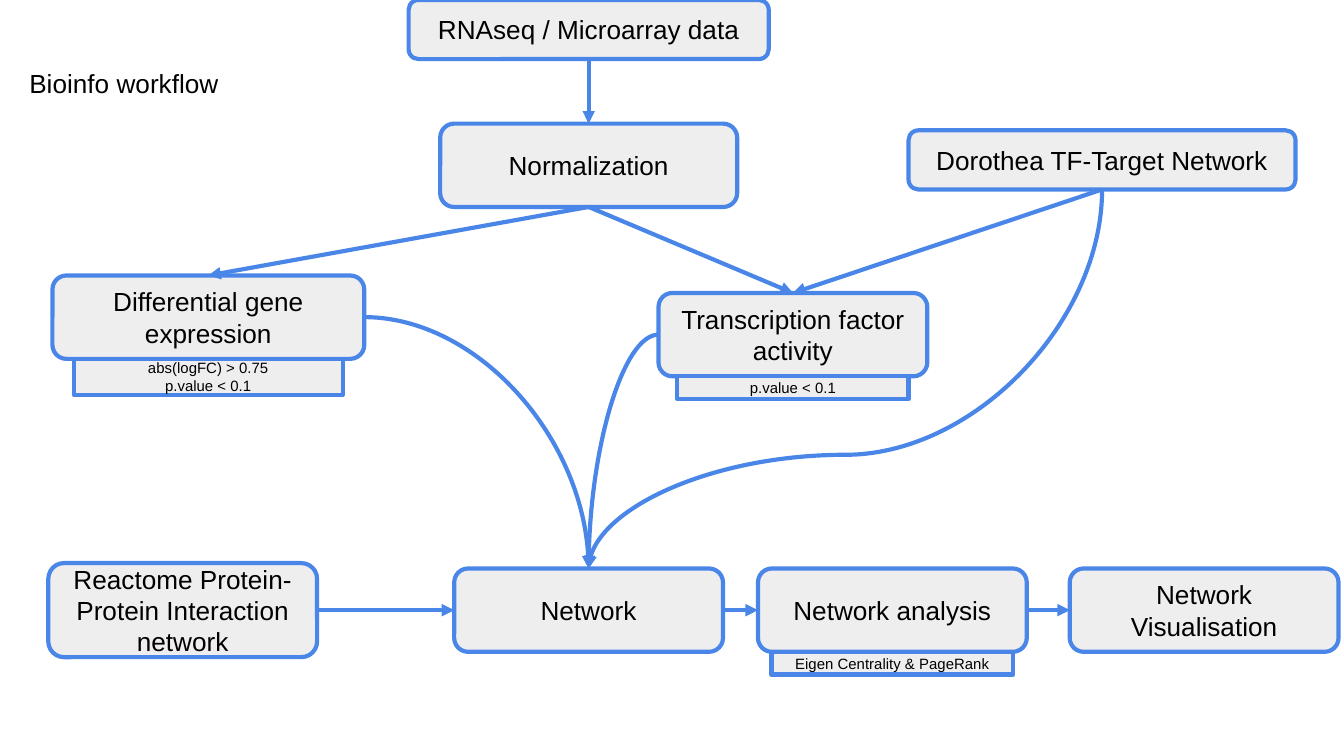
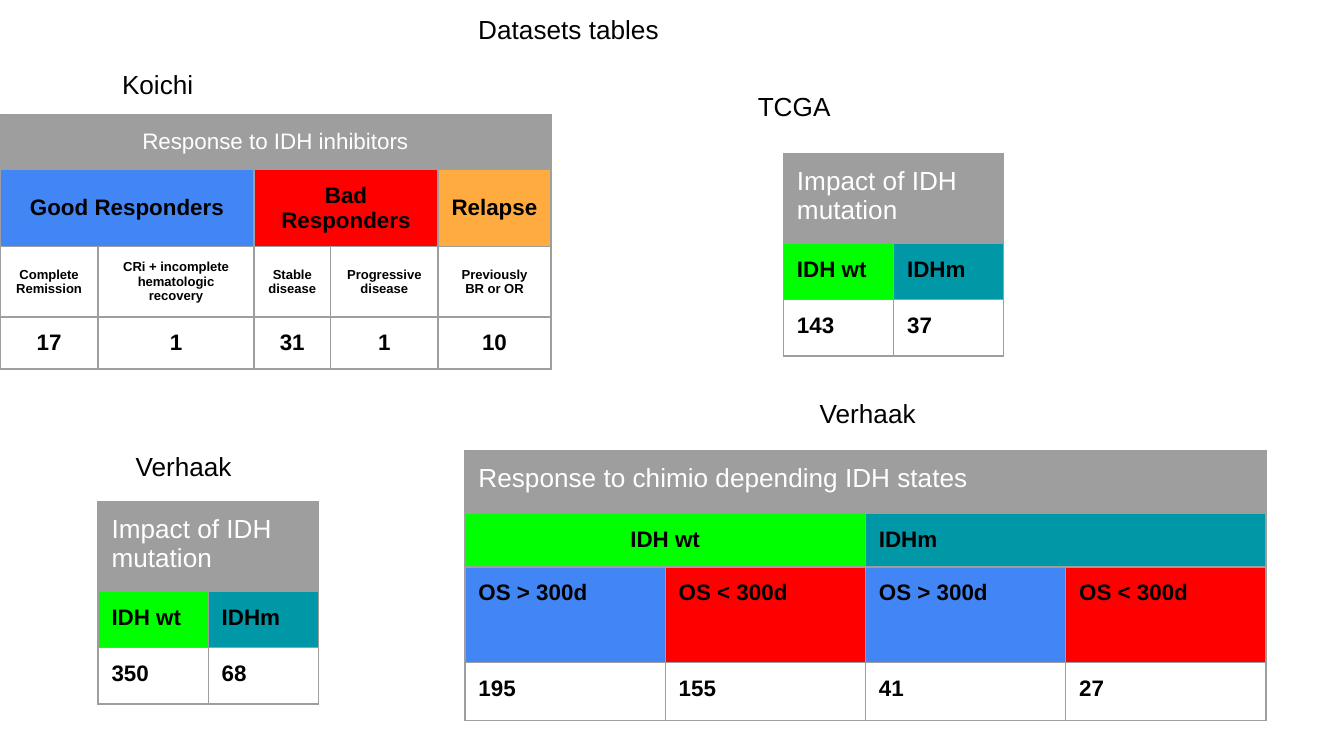
from lxml.etree import SubElement
from pptx import Presentation
from pptx.dml.color import RGBColor
from pptx.enum.shapes import MSO_CONNECTOR, MSO_SHAPE
from pptx.enum.text import MSO_ANCHOR, MSO_AUTO_SIZE, PP_ALIGN
from pptx.oxml.ns import qn
from pptx.util import Inches, Pt

# Shared look
COLOURS = {
    "black": "000000", "white": "FFFFFF", "box": "EEEEEE", "outline": "4A86E8",
    "grey": "9E9E9E", "blue": "4285F4", "red": "FF0000", "orange": "FFAB40",
    "green": "00FF00", "teal": "0097A7",
}
FONT = "Arial"
INSET = 0.1
LINE_WIDTH = 2.25
SLIDE_WIDTH = 10
SLIDE_HEIGHT = SLIDE_WIDTH * 9 / 16
TOP, LEFT, BOTTOM, RIGHT = range(4)

# Workflow: name -> (text, centre x, top, width, height)
STEPS = {
    "data": ("RNAseq / Microarray data", 4.38, 0, 2.68, 0.44),
    "normal": ("Normalization", 4.38, 0.92, 2.21, 0.62),
    "targets": ("Dorothea TF-Target Network", 8.2, 0.97, 2.88, 0.44),
    "genes": ("Differential gene expression", 1.55, 2.05, 2.32, 0.62),
    "factors": ("Transcription factor activity", 5.9, 2.18, 2, 0.62),
    "proteins": ("Reactome Protein-Protein Interaction network", 1.36, 4.19, 2, 0.7),
    "network": ("Network", 4.38, 4.23, 2, 0.62),
    "analysis": ("Network analysis", 6.64, 4.23, 2, 0.62),
    "visual": ("Network Visualisation", 8.96, 4.23, 2, 0.62),
}
# Criteria hanging under a step: (step, lines, width, height)
CRITERIA = [
    ("genes", ["abs(logFC) > 0.75", "p.value < 0.1"], 2, 0.27),
    ("factors", ["p.value < 0.1"], 1.72, 0.17),
    ("analysis", ["Eigen Centrality & PageRank"], 1.8, 0.17),
]
STRAIGHT_ARROWS = [
    ("data", BOTTOM, "normal", TOP),
    ("normal", BOTTOM, "factors", TOP),
    ("normal", BOTTOM, "genes", TOP),
    ("targets", BOTTOM, "factors", TOP),
    ("proteins", RIGHT, "network", LEFT),
    ("network", RIGHT, "analysis", LEFT),
    ("analysis", RIGHT, "visual", LEFT),
]
QUARTER_CURVES = [("genes", RIGHT, "network", TOP), ("factors", LEFT, "network", TOP)]
S_CURVE = ("targets", BOTTOM, "network", TOP)
S_BEND = 0.7

# Headings: (text, left, top, width)
WORKFLOW_HEADINGS = [("Bioinfo workflow", 0.12, 0.4, 2.47)]
DATASET_HEADINGS = [
    ("Datasets tables", 3.46, 0, 4.58),
    ("Koichi", 0.81, 0.41, 0.76),
    ("TCGA", 5.54, 0.57, 0.87),
    ("Verhaak", 0.91, 3.25, 1.05),
    ("Verhaak", 6, 2.86, 1.05),
]


# Table cells: (text, columns spanned, fill)
def plain(*texts):
    return [(text, 1, None) for text in texts]


def mutation_table(left, top, wild, mutated):
    return {
        "at": (left, top), "columns": [0.82] * 2, "centred": False,
        "rows": [
            (0.67, 14, [("Impact of IDH mutation", 2, "grey")]),
            (0.42, 12, [("IDH wt", 1, "green"), ("IDHm", 1, "teal")]),
            (0.42, 12, plain(wild, mutated)),
        ],
    }


# Tables: rows are (height, text size, cells)
TABLES = [
    {
        "at": (0, 0.85), "columns": [0.73, 1.16, 0.57, 0.8, 0.84], "centred": True,
        "rows": [
            (0.41, 12, [("Response to IDH inhibitors", 5, "grey")]),
            (0.53, 12, [("Good Responders", 2, "blue"), ("Bad Responders", 2, "red"),
                        ("Relapse", 1, "orange")]),
            (0.49, 7, plain("Complete Remission", "CRi + incomplete hematologic recovery",
                            "Stable disease", "Progressive disease", "Previously BR or OR")),
            (0.35, 12, plain("17", "1", "31", "1", "10")),
        ],
    },
    mutation_table(5.83, 1.14, "143", "37"),
    mutation_table(0.73, 3.73, "350", "68"),
    {
        "at": (3.46, 3.35), "columns": [1.49] * 4, "centred": False,
        "centred_texts": ["IDH wt"],
        "rows": [
            (0.47, 14, [("Response to chimio depending IDH states", 4, "grey")]),
            (0.4, 12, [("IDH wt", 2, "green"), ("IDHm", 2, "teal")]),
            (0.71, 12, [("OS > 300d", 1, "blue"), ("OS < 300d", 1, "red")] * 2),
            (0.43, 12, plain("195", "155", "41", "27")),
        ],
    },
]


def colour(name):
    return RGBColor.from_string(COLOURS[name])


def set_insets(holder):
    holder.margin_left = holder.margin_right = Inches(INSET)
    holder.margin_top = holder.margin_bottom = Inches(INSET)


def write(frame, lines, size, tint="black", bold=False, centred=False):
    for index, line in enumerate(lines):
        para = frame.add_paragraph() if index else frame.paragraphs[0]
        para.alignment = PP_ALIGN.CENTER if centred else PP_ALIGN.LEFT
        span = para.add_run()
        span.text = line
        span.font.name, span.font.size, span.font.bold = FONT, Pt(size), bold
        span.font.color.rgb = colour(tint)


def add_heading(page, text, left, top, width):
    box = page.shapes.add_textbox(Inches(left), Inches(top), Inches(width), Inches(0.44))
    frame = box.text_frame
    frame.word_wrap = True
    frame.auto_size = MSO_AUTO_SIZE.SHAPE_TO_FIT_TEXT
    set_insets(frame)
    write(frame, [text], 14)


def add_box(page, kind, lines, size, centre, top, width, height):
    box = page.shapes.add_shape(kind, Inches(centre - width / 2), Inches(top),
                                Inches(width), Inches(height))
    box.shadow.inherit = False
    box.fill.solid()
    box.fill.fore_color.rgb = colour("box")
    box.line.color.rgb = colour("outline")
    box.line.width = Pt(LINE_WIDTH)
    frame = box.text_frame
    frame.word_wrap = True
    frame.vertical_anchor = MSO_ANCHOR.MIDDLE
    set_insets(frame)
    write(frame, lines, size, centred=True)
    return box


def side_point(box, side):
    across = {LEFT: 0, RIGHT: box.width}.get(side, box.width // 2)
    down = {TOP: 0, BOTTOM: box.height}.get(side, box.height // 2)
    return box.left + across, box.top + down


def add_arrow(page, kind, start, end):
    arrow = page.shapes.add_connector(kind, *start, *end)
    arrow.line.color.rgb = colour("outline")
    arrow.line.width = Pt(LINE_WIDTH)
    SubElement(arrow.line._get_or_add_ln(), qn("a:tailEnd"), type="triangle")
    SubElement(arrow._element.spPr, qn("a:effectLst"))
    return arrow


def add_quarter_curve(page, start, end):
    arrow = add_arrow(page, MSO_CONNECTOR.CURVE, start, end)
    arrow._element.spPr.find(qn("a:prstGeom")).set("prst", "curvedConnector2")


def add_s_curve(page, start, end):
    # Drawn lying on its side, then turned a quarter so that it leaves downwards
    middle_x, middle_y = (start[0] + end[0]) // 2, (start[1] + end[1]) // 2
    half_width, half_height = (end[1] - start[1]) // 2, (start[0] - end[0]) // 2
    arrow = add_arrow(page, MSO_CONNECTOR.CURVE,
                      (middle_x - half_width, middle_y - half_height),
                      (middle_x + half_width, middle_y + half_height))
    properties = arrow._element.spPr
    properties.find(qn("a:xfrm")).set("rot", str(90 * 60000))
    guides = properties.find(qn("a:prstGeom")).find(qn("a:avLst"))
    SubElement(guides, qn("a:gd"), name="adj1", fmla=f"val {round(S_BEND * 100000)}")


def add_borders(cell):
    properties = cell._tc.get_or_add_tcPr()
    for index, edge in enumerate(("a:lnL", "a:lnR", "a:lnT", "a:lnB")):
        line = SubElement(properties, qn(edge), w=str(Pt(0.75)))
        fill = SubElement(line, qn("a:solidFill"))
        SubElement(fill, qn("a:srgbClr"), val=COLOURS["grey"])
        properties.insert(index, line)


def add_dataset_table(page, content):
    columns, rows = content["columns"], content["rows"]
    left, top = content["at"]
    height = sum(row[0] for row in rows)
    table = page.shapes.add_table(len(rows), len(columns), Inches(left), Inches(top),
                                  Inches(sum(columns)), Inches(height)).table
    table.first_row = table.horz_banding = False
    for column, width in zip(table.columns, columns):
        column.width = Inches(width)
    for number, (row_height, size, cells) in enumerate(rows):
        table.rows[number].height = Inches(row_height)
        place = 0
        for text, reach, fill in cells:
            cell = table.cell(number, place)
            if reach > 1:
                cell.merge(table.cell(number, place + reach - 1))
            for step in range(reach):
                part = table.cell(number, place + step)
                if fill:
                    part.fill.solid()
                    part.fill.fore_color.rgb = colour(fill)
                else:
                    part.fill.background()
                add_borders(part)
            set_insets(cell)
            cell.vertical_anchor = MSO_ANCHOR.MIDDLE if content["centred"] else MSO_ANCHOR.TOP
            title = number == 0
            centred = content["centred"] or text in content.get("centred_texts", [])
            write(cell.text_frame, [text], size, "white" if title else "black",
                  not title, centred)
            place += reach


def build_workflow(page):
    # Steps
    boxes = {name: add_box(page, MSO_SHAPE.ROUNDED_RECTANGLE, [text], 14, *place)
             for name, (text, *place) in STEPS.items()}
    # Arrows
    for first, first_side, last, last_side in STRAIGHT_ARROWS:
        arrow = add_arrow(page, MSO_CONNECTOR.STRAIGHT, side_point(boxes[first], first_side),
                          side_point(boxes[last], last_side))
        arrow.begin_connect(boxes[first], first_side)
        arrow.end_connect(boxes[last], last_side)
    curves = [(add_s_curve, S_CURVE)] + [(add_quarter_curve, link) for link in QUARTER_CURVES]
    for draw, (first, first_side, last, last_side) in curves:
        draw(page, side_point(boxes[first], first_side), side_point(boxes[last], last_side))
    # Criteria
    for name, lines, width, height in CRITERIA:
        _, centre, top, _, step_height = STEPS[name]
        add_box(page, MSO_SHAPE.RECTANGLE, lines, 8, centre, top + step_height, width, height)
    for heading in WORKFLOW_HEADINGS:
        add_heading(page, *heading)


def build_datasets(page):
    for content in TABLES:
        add_dataset_table(page, content)
    for heading in DATASET_HEADINGS:
        add_heading(page, *heading)


def main():
    deck = Presentation()
    deck.slide_width, deck.slide_height = Inches(SLIDE_WIDTH), Inches(SLIDE_HEIGHT)
    for build in (build_workflow, build_datasets):
        build(deck.slides.add_slide(deck.slide_layouts[6]))
    deck.save("out.pptx")


if __name__ == "__main__":
    main()
